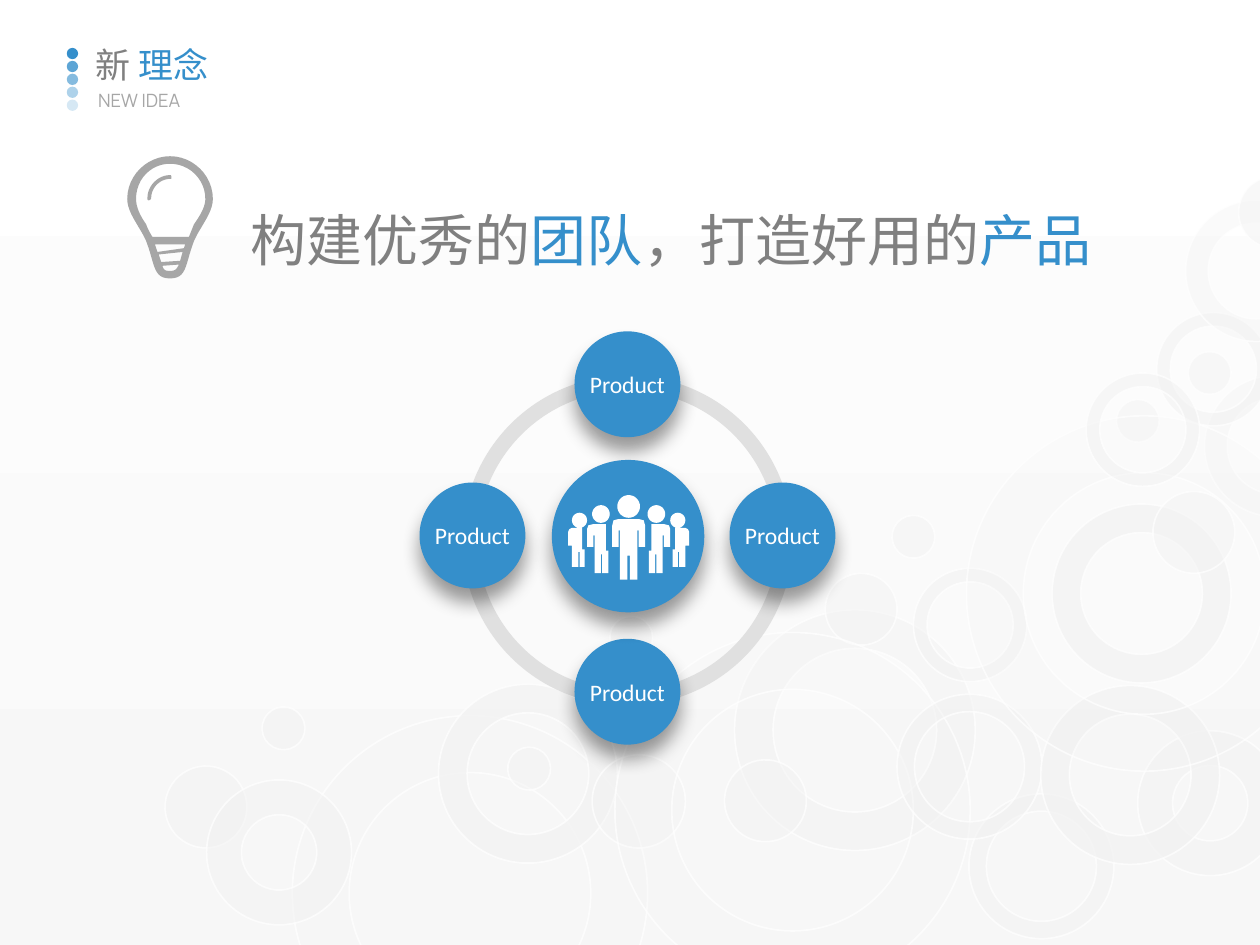
from dataclasses import dataclass
from math import cos, pi, sin

from pptx import Presentation
from pptx.dml.color import RGBColor
from pptx.enum.shapes import MSO_SHAPE as Shape
from pptx.enum.text import MSO_ANCHOR, MSO_AUTO_SIZE, PP_ALIGN
from pptx.oxml.ns import qn
from pptx.oxml.xmlchemy import OxmlElement
from pptx.util import Inches, Pt


@dataclass(frozen=True)
class Theme:
    blue: str = "358FCB"
    white: str = "FFFFFF"
    backdrop: str = "F7F7F7"
    bubble: str = "F2F2F2"
    ring: str = "E0E0E0"
    text: str = "808080"
    muted: str = "A6A6A6"
    shadow: str = "000000"
    cjk: str = "Noto Sans CJK SC"
    latin: str = "Manrope"
    label: str = "Calibri"
    headline_size: float = 32
    title_size: float = 20
    label_size: float = 13.5
    subtitle_size: float = 10.5


THEME = Theme()

# rotation: (left, top, size, ring thickness or None for a disc, opacity)
BUBBLES = {
    101.7: [
        (8.35, 4, 1.42, 0.16, 75), (9.56, 2.98, 1.12, 0.16, 31), (2.32, 5.68, 2.82, 0.16, 13),
        (7.69, 6.3, 1.15, 0.12, 54), (9.18, 2.48, 0.9, 0.12, 54), (9.15, 3.9, 0.65, None, 47),
        (8.86, 3.17, 0.34, None, 47),
    ],
    341.7: [
        (5.83, 4.84, 1.91, 0.16, 42), (3.48, 5.43, 1.42, 0.16, 75), (4.7, 5.99, 0.74, None, 39),
        (6.55, 4.55, 0.57, None, 47), (4.88, 5.02, 2.82, 0.16, 13), (7.12, 5.51, 1.15, 0.12, 54),
        (7.25, 4.51, 0.9, 0.12, 54), (9.03, 5.8, 1.15, 0.24, 54), (4.84, 4.89, 0.34, None, 47),
        (1.31, 6.08, 0.65, None, 47), (4.03, 5.93, 0.34, None, 47), (7.08, 4.09, 0.34, None, 47),
    ],
    176.7: [
        (8.26, 5.44, 1.42, 0.16, 75), (9.41, 1.59, 1.12, 0.16, 31), (9.83, 1.4, 0.57, None, 47),
        (7.67, 3.3, 2.82, 0.16, 13), (8.62, 2.96, 0.9, 0.12, 54), (1.64, 6.19, 1.15, 0.24, 54),
        (9.43, 2.79, 0.34, None, 47), (5.75, 6.03, 0.65, None, 47), (2.08, 5.61, 0.34, None, 47),
    ],
}

PEOPLE_AXIS = 4.99
HEADS = [(4.77, 4.08, 0.07), (4.6, 4.13, 0.06)]
BODIES = [
    [(4.83, 4.37), (4.83, 4.55), (4.78, 4.55), (4.78, 4.4), (4.77, 4.4), (4.77, 4.55),
     (4.72, 4.55), (4.72, 4.25), (4.71, 4.25), (4.71, 4.34), (4.66, 4.34), (4.66, 4.2),
     (4.67, 4.17), (4.71, 4.16), (4.81, 4.16), (4.81, 4.37)],
    [(4.64, 4.36), (4.64, 4.5), (4.6, 4.5), (4.6, 4.38), (4.59, 4.38), (4.59, 4.5),
     (4.54, 4.5), (4.54, 4.33), (4.51, 4.33), (4.51, 4.22), (4.52, 4.2), (4.54, 4.19),
     (4.62, 4.19), (4.62, 4.36)],
]
LEADER_LEFT_HALF = [
    (4.98, 4.41), (4.98, 4.6), (4.92, 4.6), (4.92, 4.21), (4.91, 4.21), (4.91, 4.34),
    (4.86, 4.34), (4.86, 4.17), (4.87, 4.13), (4.91, 4.12)]

# Two numbers are a point, six are a Bezier segment.
BULB = [
    [(1.35, 1.24), (1.17, 1.24, 1.01, 1.39, 1.01, 1.58), (1.01, 1.7, 1.13, 1.82, 1.17, 1.94),
     (1.23, 2.11, 1.22, 2.21, 1.35, 2.21), (1.48, 2.21, 1.47, 2.11, 1.53, 1.94),
     (1.57, 1.82, 1.69, 1.7, 1.69, 1.58), (1.69, 1.39, 1.53, 1.24, 1.35, 1.24)],
    [(1.43, 2.07), (1.28, 2.08), (1.26, 2.02), (1.45, 2)],
    [(1.25, 2), (1.23, 1.94), (1.47, 1.94), (1.46, 1.97)],
    [(1.35, 2.15), (1.32, 2.15, 1.3, 2.15, 1.29, 2.11), (1.42, 2.1),
     (1.4, 2.14, 1.39, 2.15, 1.35, 2.15)],
    [(1.5, 1.88), (1.21, 1.88), (1.19, 1.85, 1.17, 1.81, 1.16, 1.78),
     (1.11, 1.71, 1.08, 1.64, 1.08, 1.58), (1.08, 1.42, 1.2, 1.3, 1.35, 1.3),
     (1.5, 1.3, 1.63, 1.42, 1.63, 1.58), (1.63, 1.64, 1.59, 1.71, 1.54, 1.78)],
]
BULB_GLINT = [
    [(1.35, 1.39), (1.25, 1.39, 1.17, 1.48, 1.17, 1.57), (1.17, 1.58, 1.17, 1.59, 1.18, 1.59),
     (1.19, 1.59, 1.2, 1.58, 1.2, 1.57), (1.2, 1.49, 1.27, 1.42, 1.35, 1.42),
     (1.36, 1.42, 1.36, 1.42, 1.36, 1.41), (1.36, 1.4, 1.36, 1.39, 1.35, 1.39)],
]


def rgb(color):
    return RGBColor.from_string(color)


def add_child(parent, tag, **attributes):
    child = OxmlElement(tag)
    for name, value in attributes.items():
        child.set(name, str(value))
    parent.append(child)
    return child


def set_opacity(shape, *percents):
    """Set the opacity of the fill and then of the line."""
    for color, percent in zip(shape._element.spPr.iter(qn("a:srgbClr")), percents):
        add_child(color, "a:alpha", val=percent * 1000)


def paint(shape, color):
    shape.shadow.inherit = False
    shape.fill.solid()
    shape.fill.fore_color.rgb = rgb(color)
    shape.line.fill.background()


def add_round(shapes, kind, left, top, size, color):
    shape = shapes.add_shape(kind, Inches(left), Inches(top), Inches(size), Inches(size))
    paint(shape, color)
    return shape


def add_bubble(shapes, left, top, size, thickness, opacity):
    kind = Shape.DONUT if thickness else Shape.OVAL
    shape = add_round(shapes, kind, left, top, size, THEME.bubble)
    if thickness:
        shape.adjustments[0] = thickness
    shape.line.color.rgb = rgb(THEME.white)
    shape.line.width = Pt(1)
    set_opacity(shape, opacity, 70)
    return shape


def add_raised_disc(shapes, left, top, size, label=None):
    disc = add_round(shapes, Shape.OVAL, left, top, size, THEME.blue)
    effects = disc._element.spPr.find(qn("a:effectLst"))
    shadow = add_child(effects, "a:outerShdw", blurRad=Pt(11), dist=Pt(8), dir=90 * 60000,
                       algn="t", rotWithShape=0)
    color = add_child(shadow, "a:srgbClr", val=THEME.shadow)
    add_child(color, "a:alpha", val=40000)
    if label:
        frame = disc.text_frame
        frame.word_wrap = False
        frame.vertical_anchor = MSO_ANCHOR.MIDDLE
        paragraph = frame.paragraphs[0]
        paragraph.text = label
        paragraph.alignment = PP_ALIGN.CENTER
        paragraph.font.name = THEME.label
        paragraph.font.size = Pt(THEME.label_size)
        paragraph.font.color.rgb = rgb(THEME.white)


def flatten(segments, steps=12):
    """Turn points and Bezier segments into a list of points."""
    points = []
    for segment in segments:
        if len(segment) == 2:
            points.append(segment)
            continue
        controls = [points[-1], segment[:2], segment[2:4], segment[4:]]
        for step in range(1, steps + 1):
            t = step / steps
            weights = ((1 - t) ** 3, 3 * t * (1 - t) ** 2, 3 * t * t * (1 - t), t ** 3)
            points.append(tuple(sum(w * c[axis] for w, c in zip(weights, controls))
                                for axis in (0, 1)))
    return points


def circle(x, y, radius, steps=36):
    angles = [2 * pi * step / steps for step in range(steps)]
    return [(x + radius * cos(angle), y + radius * sin(angle)) for angle in angles]


def mirror(points):
    return [(2 * PEOPLE_AXIS - x, y) for x, y in reversed(points)]


def add_outline(shapes, contours, color):
    contours = [[(Inches(x), Inches(y)) for x, y in contour] for contour in contours]
    builder = shapes.build_freeform(*contours[0][0])
    for index, contour in enumerate(contours):
        if index:
            builder.move_to(*contour[0])
        builder.add_line_segments(contour[1:], close=True)
    paint(builder.convert_to_shape(), color)


def add_people(shapes):
    left = [circle(*head) for head in HEADS] + BODIES
    leader = [circle(PEOPLE_AXIS, 4.02, 0.09), LEADER_LEFT_HALF + mirror(LEADER_LEFT_HALF)]
    add_outline(shapes, leader + left + [mirror(points) for points in left], THEME.white)


def add_text(slide, left, top, width, height, size, runs):
    box = slide.shapes.add_textbox(Inches(left), Inches(top), Inches(width), Inches(height))
    frame = box.text_frame
    frame.word_wrap = False
    frame.auto_size = MSO_AUTO_SIZE.SHAPE_TO_FIT_TEXT
    paragraph = frame.paragraphs[0]
    paragraph.font.size = Pt(size)
    for text, font, color in runs:
        run = paragraph.add_run()
        run.text = text
        run.font.size = Pt(size)
        run.font.name = font
        run.font.color.rgb = rgb(color)
        add_child(run.font._element, "a:ea", typeface=THEME.cjk)


def add_backdrop(slide):
    fill = slide.background.fill
    fill.gradient()
    fill.gradient_angle = 270
    for stop, color, position in zip(fill.gradient_stops, (THEME.white, THEME.backdrop), (0, 1)):
        stop.color.rgb = rgb(color)
        stop.position = position
    for rotation, cluster in BUBBLES.items():
        group = slide.shapes.add_group_shape()
        for bubble in cluster:
            add_bubble(group.shapes, *bubble).rotation = rotation


def add_title_dots(slide):
    group = slide.shapes.add_group_shape()
    for index in reversed(range(5)):
        dot = add_round(group.shapes, Shape.OVAL, 0.53, 0.38 + 0.41 * index / 4, 0.09, THEME.blue)
        set_opacity(dot, 100 - 20 * index)


def add_team_cycle(slide):
    ring = slide.shapes.add_group_shape()
    quarter = 54  # 90 degrees in adjustment units
    for index in (2, 1, 0, 3):
        arc = add_round(ring.shapes, Shape.BLOCK_ARC, 3.67, 2.98, 2.62, THEME.ring)
        arc.adjustments[0] = quarter * index
        arc.adjustments[1] = quarter * ((index + 1) % 4)
        arc.adjustments[2] = 0.046
    for left, top in ((4.56, 2.63), (5.79, 3.83), (4.56, 5.07), (3.33, 3.83)):
        add_raised_disc(slide.shapes, left, top, 0.84, "Product")
    team = slide.shapes.add_group_shape()
    add_raised_disc(team.shapes, 4.38, 3.65, 1.21)
    add_people(team.shapes)


def add_bulb(slide):
    group = slide.shapes.add_group_shape()
    for contours in (BULB, BULB_GLINT):
        add_outline(group.shapes, [flatten(contour) for contour in contours], THEME.muted)


def main():
    presentation = Presentation()
    presentation.slide_width, presentation.slide_height = Inches(10), Inches(7.5)
    slide = presentation.slides.add_slide(presentation.slide_layouts[6])
    add_backdrop(slide)
    add_title_dots(slide)
    add_team_cycle(slide)
    add_text(slide, 1.89, 1.58, 6.93, 0.64, THEME.headline_size, [
        ("构建优秀的", THEME.latin, THEME.text), ("团队", THEME.cjk, THEME.blue),
        ("，打造好用的", THEME.latin, THEME.text), ("产品", THEME.cjk, THEME.blue)])
    add_bulb(slide)
    add_text(slide, 0.66, 0.3, 1.13, 0.44, THEME.title_size, [
        ("新 ", THEME.cjk, THEME.text), ("理念", THEME.cjk, THEME.blue)])
    add_text(slide, 0.68, 0.66, 1.01, 0.28, THEME.subtitle_size, [
        ("NEW IDEA", THEME.latin, THEME.muted)])
    presentation.save("out.pptx")


if __name__ == "__main__":
    main()
